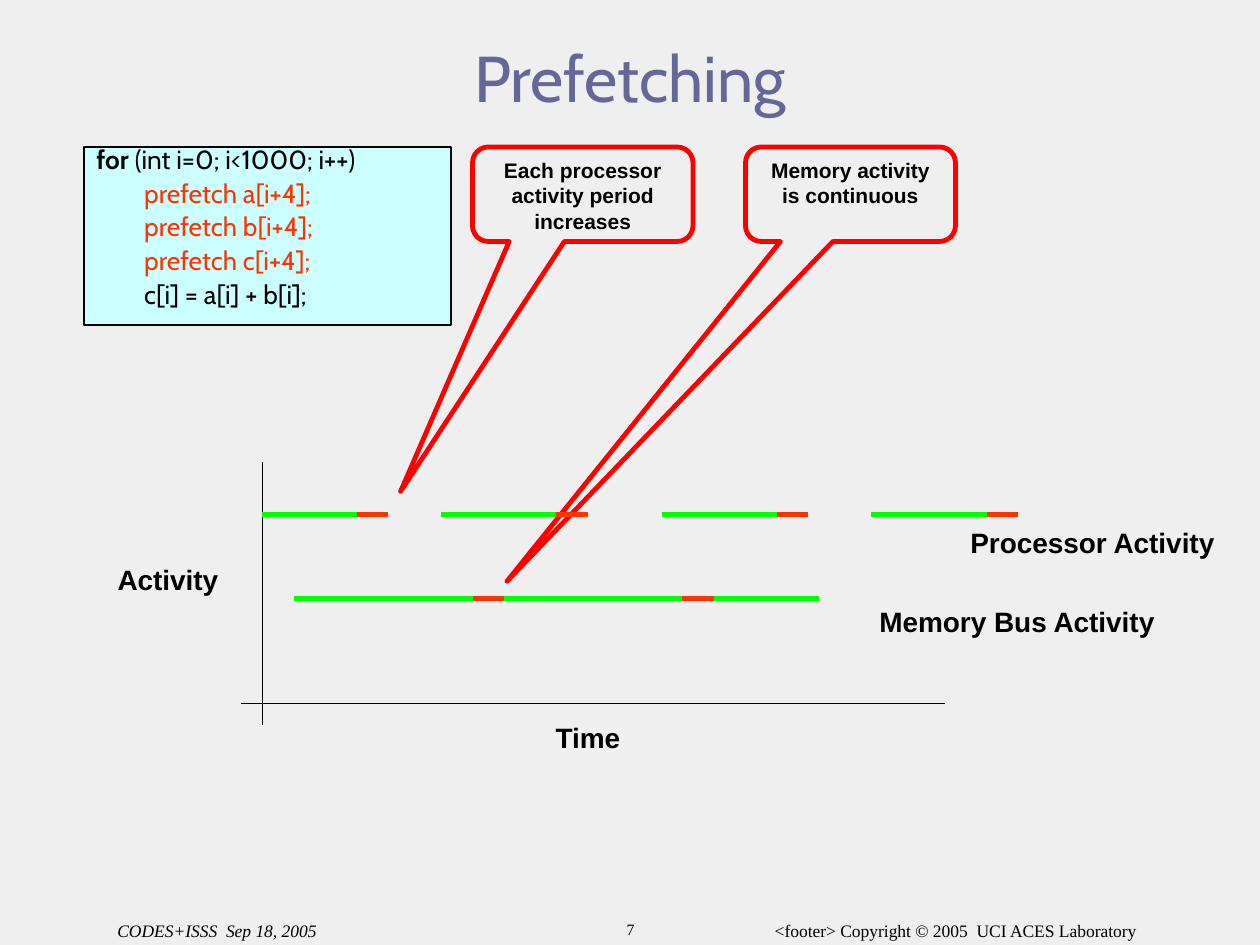
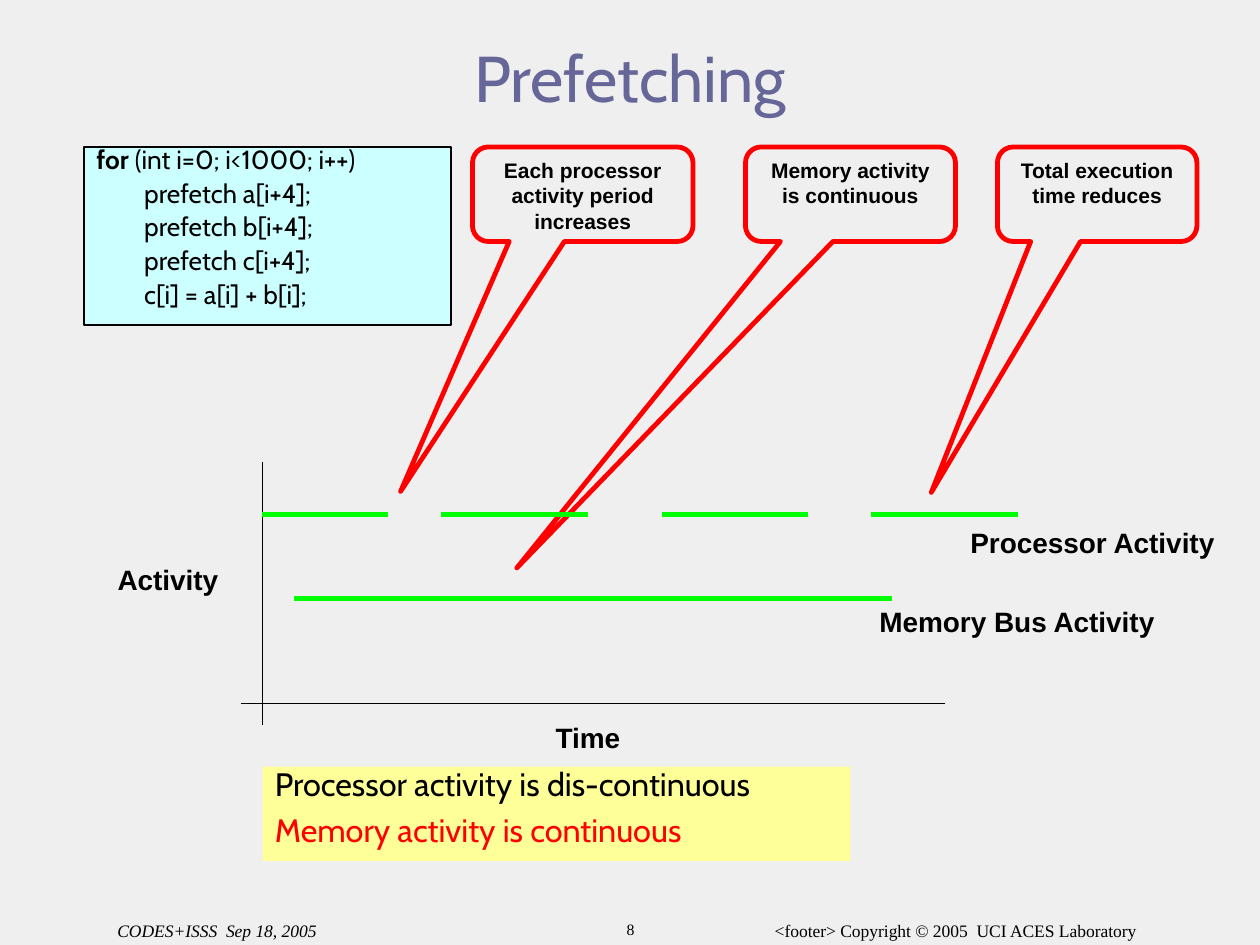
"""Build two slides on how prefetching shapes processor and memory bus activity."""

from dataclasses import dataclass, field
from typing import Any, NamedTuple

from lxml.etree import SubElement
from pptx import Presentation
from pptx.dml.color import RGBColor
from pptx.enum.shapes import MSO_CONNECTOR as Connector, MSO_SHAPE as Shape
from pptx.enum.text import MSO_ANCHOR as Anchor, PP_ALIGN as Align
from pptx.oxml.ns import qn
from pptx.util import Inches, Pt

COLUMNS, ROWS = 120, 90
WIDTH, HEIGHT = Inches(10), Inches(7.5)
PREFETCH_COLUMNS = 3
PROCESSOR_ROW, MEMORY_ROW = 49, 57


@dataclass(frozen=True)
class Theme:
    """Colours, fonts and type sizes shared by the slides."""

    background: str = "EFEFEF"
    ink: str = "000000"
    title: str = "666699"
    code_fill: str = "CCFFFF"
    summary_fill: str = "FFFF99"
    alert: str = "FF0000"
    prefetch: str = "FF3300"
    busy: str = "00FF00"
    display: str = "Cabin"
    label: str = "Arial"
    footer: str = "Times New Roman"
    title_size: float = 37
    summary_size: float = 18.5
    label_size: float = 16
    code_size: float = 15
    callout_size: float = 12
    footer_size: float = 10
    number_size: float = 9
    hairline: float = 0.75
    border: float = 1
    stroke: float = 2.75


THEME = Theme()


class Box(NamedTuple):
    """A rectangle in grid columns and rows."""

    column: float
    row: float
    columns: float
    rows: float


class Run(NamedTuple):
    """A piece of text with its own colour or weight."""

    text: str
    color: str = THEME.ink
    bold: bool = False


class Line(NamedTuple):
    """A paragraph made of runs, set in by some inches."""

    runs: tuple[Run, ...]
    indent: float = 0


@dataclass(frozen=True)
class TextStyle:
    """Font and paragraph format values for a block of text."""

    font: dict[str, Any]
    paragraph: dict[str, Any] = field(default_factory=dict)
    gap: float = 0
    anchor: Anchor = Anchor.TOP
    wrap: bool = True


class Label(NamedTuple):
    """A text box with a style."""

    text: str
    box: Box
    style: TextStyle
    color: str = THEME.ink


class Callout(NamedTuple):
    """A speech bubble pointing at a grid position."""

    text: str
    column: float
    columns: float
    tip: tuple[float, float]


class Segment(NamedTuple):
    """A straight line between two grid positions."""

    start: tuple[float, float]
    stop: tuple[float, float]
    color: str = THEME.ink
    weight: float = THEME.hairline


class ActivitySlide(NamedTuple):
    """What differs from one activity slide to the next."""

    number: int
    prefetch_color: str
    callouts: tuple[Callout, ...]
    bars: tuple[Segment, ...]
    summary: tuple[Line, ...] = ()


def text_style(name: str, size: float, center: bool = True, spacing: float = 1.0,
               **options: Any) -> TextStyle:
    """Return a style for a typeface, size, alignment and line spacing."""
    extra = {key: options.pop(key) for key in ("bold", "italic") if key in options}
    alignment = Align.CENTER if center else Align.LEFT
    return TextStyle({"name": name, "size": Pt(size), **extra},
                     {"alignment": alignment, "line_spacing": spacing}, **options)


TITLE = text_style(THEME.display, THEME.title_size, spacing=0.85, anchor=Anchor.MIDDLE)
LABEL = text_style(THEME.label, THEME.label_size, bold=True, wrap=False)
CALLOUT = text_style(THEME.label, THEME.callout_size, bold=True)
CODE = text_style(THEME.display, THEME.code_size, False, 0.65, gap=7.5)
SUMMARY = text_style(THEME.display, THEME.summary_size, False, 0.75, gap=10)
FOOTER = text_style(THEME.footer, THEME.footer_size)
VENUE = text_style(THEME.footer, THEME.footer_size, False, italic=True)
NUMBER = text_style(THEME.footer, THEME.number_size)

CODE_BOX = Box(8, 14, 35, 17)
SUMMARY_BOX = Box(25, 73, 56, 9)
NUMBER_BOX = Box(45.1, 87, 29.9, 3)
CODE_INDENT = 0.38
AXES = (Segment((25, 44), (25, 69)), Segment((23, 67), (90, 67)))
LABELS = (
    Label("<footer> Copyright © 2005  UCI ACES Laboratory", Box(69, 87, 44, 4), FOOTER),
    Label("CODES+ISSS  Sep 18, 2005", Box(10, 87, 25, 3.2), VENUE),
    Label("Prefetching", Box(6, 3.6, 108, 8.64), TITLE, THEME.title),
    Label("Time", Box(51, 68, 10, 4.44), LABEL),
    Label("Activity", Box(10, 53, 12, 4.44), LABEL),
    Label("Processor Activity", Box(91.2, 49.44, 25.7, 4.44), LABEL),
    Label("Memory Bus Activity", Box(82.5, 57, 28.7, 4.44), LABEL),
)
BURSTS = ((25, 37), (42, 56), (63, 77), (83, 97))


def bar(start: float, stop: float, row: float, color: str = THEME.busy) -> Segment:
    """Return a thick horizontal activity bar."""
    return Segment((start, row), (stop, row), color, THEME.stroke)


def split_bars() -> tuple[Segment, ...]:
    """Return activity bars with the prefetch periods marked."""
    busy = [bar(start, stop - PREFETCH_COLUMNS, PROCESSOR_ROW) for start, stop in BURSTS]
    busy += [bar(start, stop, MEMORY_ROW) for start, stop in ((28, 45), (48, 65), (68, 78))]
    marks = [(stop - PREFETCH_COLUMNS, PROCESSOR_ROW) for _, stop in BURSTS]
    marks += [(45, MEMORY_ROW), (65, MEMORY_ROW)]
    return (*busy, *(bar(start, start + PREFETCH_COLUMNS, row, THEME.prefetch)
                     for start, row in marks))


def whole_bars() -> tuple[Segment, ...]:
    """Return activity bars in a single colour."""
    return (*(bar(start, stop, PROCESSOR_ROW) for start, stop in BURSTS),
            bar(28, 78, MEMORY_ROW), bar(78, 85, MEMORY_ROW))


PERIOD = Callout("Each processor activity period increases", 45, 21, (38.15, 46.8))
CONTINUOUS = Callout("Memory activity is continuous", 71, 20, (48.28, 55.36))
TOTAL = Callout("Total execution time reduces", 95, 19, (88.7, 46.9))

SLIDES = (
    ActivitySlide(7, THEME.prefetch, (PERIOD, CONTINUOUS), split_bars()),
    ActivitySlide(
        8, THEME.ink,
        (PERIOD, CONTINUOUS._replace(tip=(49.22, 54.09)), TOTAL), whole_bars(),
        (Line((Run("Processor activity is dis-continuous"),)),
         Line((Run("Memory activity is continuous", THEME.alert),))),
    ),
)


def across(columns: float) -> int:
    """Convert grid columns to a length."""
    return round(WIDTH * columns / COLUMNS)


def down(rows: float) -> int:
    """Convert grid rows to a length."""
    return round(HEIGHT * rows / ROWS)


def frame(box: Box) -> tuple[int, int, int, int]:
    """Convert a grid box to left, top, width and height."""
    return across(box.column), down(box.row), across(box.columns), down(box.rows)


def assign(target: Any, values: dict[str, Any]) -> None:
    """Set each named attribute on the target."""
    for name, value in values.items():
        setattr(target, name, value)


def write(shape: Any, lines: tuple[Line, ...], style: TextStyle) -> None:
    """Fill a shape with styled paragraphs."""
    text_frame = shape.text_frame
    assign(text_frame, {"word_wrap": style.wrap, "vertical_anchor": style.anchor})
    for index, line in enumerate(lines):
        paragraph = text_frame.add_paragraph() if index else text_frame.paragraphs[0]
        assign(paragraph, style.paragraph)
        if index:
            paragraph.space_before = Pt(style.gap)
        if line.indent:
            paragraph._p.get_or_add_pPr().set("marL", str(Inches(line.indent)))
        for piece in line.runs:
            run = paragraph.add_run()
            run.text = piece.text
            assign(run.font, {"bold": piece.bold, **style.font})
            run.font.color.rgb = RGBColor.from_string(piece.color)


def add_label(slide: Any, label: Label) -> None:
    """Draw one text box."""
    shape = slide.shapes.add_textbox(*frame(label.box))
    write(shape, (Line((Run(label.text, label.color),)),), label.style)


def add_panel(slide: Any, kind: Shape, box: Box, fill: str | None = None,
              line: str | None = None, weight: float = THEME.border) -> Any:
    """Draw a preset shape with optional fill and outline."""
    shape = slide.shapes.add_shape(kind, *frame(box))
    shape.shadow.inherit = False
    for paint, color in ((shape.fill, fill), (shape.line.fill, line)):
        if color:
            paint.solid()
            paint.fore_color.rgb = RGBColor.from_string(color)
        else:
            paint.background()
    if line:
        shape.line.width = Pt(weight)
    return shape


def add_callout(slide: Any, callout: Callout) -> None:
    """Draw a speech bubble whose tail ends at its tip."""
    box = Box(callout.column, 14, callout.columns, 9)
    shape = add_panel(slide, Shape.ROUNDED_RECTANGULAR_CALLOUT, box,
                      line=THEME.alert, weight=THEME.stroke)
    column, row = callout.tip
    shape.adjustments[0] = (column - box.column) / box.columns - 0.5
    shape.adjustments[1] = (row - box.row) / box.rows - 0.5
    write(shape, (Line((Run(callout.text),)),), CALLOUT)


def add_segment(slide: Any, segment: Segment) -> None:
    """Draw a straight line without a shadow."""
    (left, top), (right, bottom) = segment.start, segment.stop
    connector = slide.shapes.add_connector(
        Connector.STRAIGHT, across(left), down(top), across(right), down(bottom))
    connector.line.color.rgb = RGBColor.from_string(segment.color)
    connector.line.width = Pt(segment.weight)
    SubElement(connector._element.spPr, qn("a:effectLst"))


def code_lines(prefetch_color: str) -> tuple[Line, ...]:
    """Return the loop listing with its prefetch statements coloured."""
    prefetches = (Line((Run(f"prefetch {array}[i+4];", prefetch_color),), CODE_INDENT)
                  for array in "abc")
    return (Line((Run("for ", bold=True), Run("(int i=0; i<1000; i++)"))),
            *prefetches, Line((Run("c[i] = a[i] + b[i];"),), CODE_INDENT))


def add_activity_slide(presentation: Any, content: ActivitySlide) -> None:
    """Draw one complete activity slide."""
    slide = presentation.slides.add_slide(presentation.slide_layouts[6])
    slide.background.fill.solid()
    slide.background.fill.fore_color.rgb = RGBColor.from_string(THEME.background)
    for axis in AXES:
        add_segment(slide, axis)
    for label in (*LABELS, Label(str(content.number), NUMBER_BOX, NUMBER)):
        add_label(slide, label)
    code = add_panel(slide, Shape.RECTANGLE, CODE_BOX, THEME.code_fill, THEME.ink)
    write(code, code_lines(content.prefetch_color), CODE)
    for callout in content.callouts:
        add_callout(slide, callout)
    if content.summary:
        summary = add_panel(slide, Shape.RECTANGLE, SUMMARY_BOX, THEME.summary_fill)
        write(summary, content.summary, SUMMARY)
    for segment in content.bars:
        add_segment(slide, segment)


def main() -> None:
    """Build and save the presentation."""
    presentation = Presentation()
    assign(presentation, {"slide_width": WIDTH, "slide_height": HEIGHT})
    for content in SLIDES:
        add_activity_slide(presentation, content)
    presentation.save("out.pptx")


if __name__ == "__main__":
    main()
